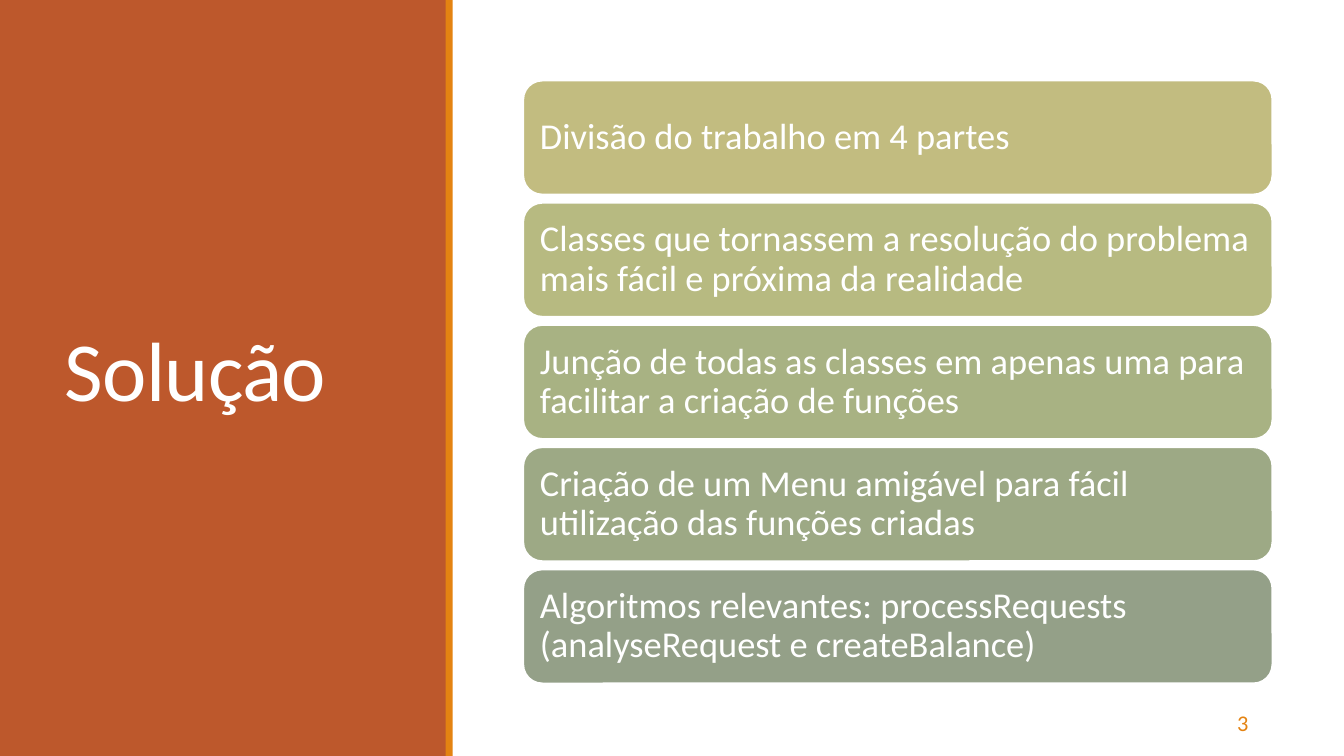
"""Build the "Solução" slide: a title panel beside five stacked statements."""
from dataclasses import dataclass

import pptx
import pptx.dml.color
import pptx.enum.shapes
import pptx.enum.text
import pptx.presentation
import pptx.shapes.autoshape
import pptx.slide
import pptx.util

Inches = pptx.util.Inches
Pt = pptx.util.Pt
RGBColor = pptx.dml.color.RGBColor
Shape = pptx.enum.shapes.MSO_SHAPE

WHITE = RGBColor(0xFF, 0xFF, 0xFF)
RUST = RGBColor(0xBD, 0x58, 0x2C)
ORANGE = RGBColor(0xE4, 0x83, 0x12)
SAND = RGBColor(0xC2, 0xBC, 0x80)
OLIVE = RGBColor(0xB7, 0xBA, 0x81)
MOSS = RGBColor(0xA8, 0xB2, 0x83)
SAGE = RGBColor(0x9D, 0xA9, 0x85)
SLATE = RGBColor(0x94, 0xA0, 0x88)

FONT = "Calibri"
CARD_TOP = 0.8
CARD_STEP = 1.2125


@dataclass(frozen=True)
class Area:
    left: float
    top: float
    width: float
    height: float

    def lengths(self) -> tuple[pptx.util.Length, ...]:
        return tuple(Inches(value) for value in (self.left, self.top, self.width, self.height))


@dataclass(frozen=True)
class Card:
    text: str
    color: RGBColor


CARDS = (
    Card("Divisão do trabalho em 4 partes", SAND),
    Card("Classes que tornassem a resolução do problema mais fácil e próxima da realidade", OLIVE),
    Card("Junção de todas as classes em apenas uma para facilitar a criação de funções", MOSS),
    Card("Criação de um Menu amigável para fácil utilização das funções criadas", SAGE),
    Card("Algoritmos relevantes: processRequests (analyseRequest e createBalance)", SLATE),
)


def write_text(box: pptx.shapes.autoshape.Shape, text: str, size: float, color: RGBColor,
               line_spacing: float = 1.0,
               alignment: pptx.enum.text.PP_ALIGN = pptx.enum.text.PP_ALIGN.LEFT) -> None:
    frame = box.text_frame
    frame.text = text
    frame.word_wrap = True
    frame.auto_size = pptx.enum.text.MSO_AUTO_SIZE.NONE
    frame.vertical_anchor = pptx.enum.text.MSO_ANCHOR.MIDDLE
    para = frame.paragraphs[0]
    para.alignment = alignment
    para.line_spacing = line_spacing
    para.font.name = FONT
    para.font.size = Pt(size)
    para.font.color.rgb = color


def add_block(page: pptx.slide.Slide, kind: pptx.enum.shapes.MSO_SHAPE, area: Area,
              color: RGBColor) -> pptx.shapes.autoshape.Shape:
    block = page.shapes.add_shape(kind, *area.lengths())
    block.shadow.inherit = False
    block.fill.solid()
    block.fill.fore_color.rgb = color
    block.line.fill.background()
    return block


def add_card(page: pptx.slide.Slide, card: Card, row: int) -> None:
    area = Area(5.19, CARD_TOP + row * CARD_STEP, 7.43, 1.13)
    box = add_block(page, Shape.ROUNDED_RECTANGLE, area, card.color)
    box.line.color.rgb = WHITE
    box.line.width = Pt(1.25)
    frame = box.text_frame
    frame.margin_left = frame.margin_right = Inches(0.11)
    frame.margin_top = frame.margin_bottom = Inches(0.11)
    write_text(box, card.text, 26, WHITE, 0.9)


def place_title(page: pptx.slide.Slide) -> None:
    title = page.shapes.title
    title.left, title.top, title.width, title.height = Area(0.54, 0.57, 3.37, 6.31).lengths()
    write_text(title, "Solução", 60, WHITE, 0.85)
    span = title.text_frame.paragraphs[0].runs[0]
    span.font._element.set("spc", "-50")
    title.element.getparent().append(title.element)


def add_page_number(page: pptx.slide.Slide) -> None:
    box = page.shapes.add_textbox(*Area(11.05, 6.97, 1.43, 0.4).lengths())
    write_text(box, "3", 16, ORANGE, alignment=pptx.enum.text.PP_ALIGN.RIGHT)


def main() -> None:
    deck = pptx.Presentation()
    deck.slide_width = Inches(13.33)
    deck.slide_height = Inches(7.5)
    page = deck.slides.add_slide(deck.slide_layouts.get_by_name("Title Only"))
    add_block(page, Shape.RECTANGLE, Area(0, 0, 4.43, 7.5), RUST)
    place_title(page)
    add_block(page, Shape.RECTANGLE, Area(4.42, 0, 0.07, 7.5), ORANGE)
    for row, card in enumerate(CARDS):
        add_card(page, card, row)
    add_page_number(page)
    deck.save("out.pptx")


if __name__ == "__main__":
    main()
